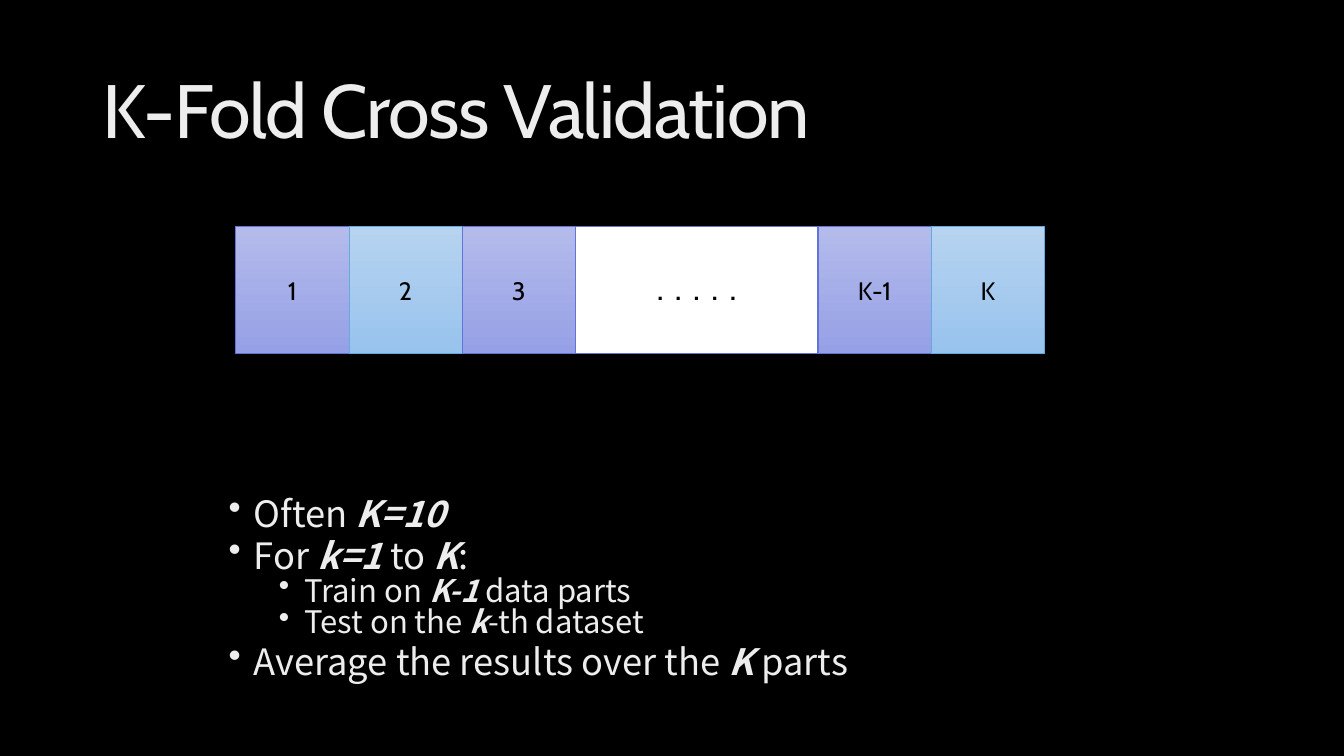
import pptx
import pptx.util
import pptx.dml.color
import pptx.enum.shapes
import pptx.enum.text
import lxml.etree

Pt = pptx.util.Pt
PALE = "EDEDED"
BLACK = "000000"
TITLE = "K-Fold Cross Validation"
VIOLET = ("B4BBEB", "96A0E6")
SKY = ("B6D3F0", "98C3ED")
WHITE = ("FFFFFF",)
EDGES = {VIOLET: "6274D8", SKY: "65A9E1", WHITE: "6274D8"}
FOLDS = [
    ("1", VIOLET),
    ("2", SKY),
    ("3", VIOLET),
    (". . . . .", WHITE),
    ("K-1", VIOLET),
    ("K", SKY),
]
STEPS = [
    (0, ["Often ", "K=10"]),
    (0, ["For ", "k=1", " to ", "K", ":"]),
    (1, ["Train on ", "K-1", " data parts"]),
    (1, ["Test on the ", "k", "-th dataset"]),
    (0, ["Average the results over the ", "K", " parts"]),
]
STEP_STYLES = {0: (25.9, 8, 18), 1: (22.2, 3.5, 54)}
HANGING = 18
FOLD_LEFT, FOLD_TOP, FOLD_HEIGHT = 168.5, 162, 90.7
FOLD_WIDTH, GAP_WIDTH = 80.8, 173.5


def color(value):
    return pptx.dml.color.RGBColor.from_string(value)


def style(run, size, font, value, spacing=0):
    run.font.size = Pt(size)
    run.font.name = font
    run.font.color.rgb = color(value)
    if spacing:
        run.font._element.set("spc", str(spacing))


def add_text_box(slide, left, top, width, height):
    frame = slide.shapes.add_textbox(Pt(left), Pt(top), Pt(width), Pt(height)).text_frame
    frame.word_wrap = True
    return frame


def add_title(slide):
    frame = add_text_box(slide, 66, 29, 828, 104.4)
    frame.vertical_anchor = pptx.enum.text.MSO_ANCHOR.MIDDLE
    frame.text = TITLE
    heading = frame.paragraphs[0]
    heading.line_spacing = 0.9
    style(heading.runs[0], 54, "Cabin", PALE, -100)


def add_folds(slide):
    left = FOLD_LEFT
    for label, shades in FOLDS:
        elided = shades == WHITE
        width = GAP_WIDTH if elided else FOLD_WIDTH
        fold = slide.shapes.add_shape(
            pptx.enum.shapes.MSO_SHAPE.RECTANGLE,
            Pt(left), Pt(FOLD_TOP), Pt(width), Pt(FOLD_HEIGHT))
        left += width
        fold.shadow.inherit = False
        if elided:
            fold.fill.solid()
            fold.fill.fore_color.rgb = color(shades[0])
        else:
            fold.fill.gradient()
            fold.fill.gradient_angle = 270
            for stop, shade in zip(fold.fill.gradient_stops, shades):
                stop.color.rgb = color(shade)
        fold.line.color.rgb = color(EDGES[shades])
        fold.line.width = Pt(1 if elided else 0.5)
        fold.text_frame.text = label
        fold.text_frame.vertical_anchor = pptx.enum.text.MSO_ANCHOR.MIDDLE
        caption = fold.text_frame.paragraphs[0]
        caption.alignment = pptx.enum.text.PP_ALIGN.CENTER
        style(caption.runs[0], 18, "Cabin", BLACK, 240 if elided else 0)
        caption.runs[0].font.bold = elided


def add_steps(slide):
    frame = add_text_box(slide, 156.2, 355, 588.2, 154.8)
    for number, (level, parts) in enumerate(STEPS):
        step = frame.add_paragraph() if number else frame.paragraphs[0]
        size, before, margin = STEP_STYLES[level]
        step.level = level
        properties = step._p.get_or_add_pPr()
        properties.set("marL", str(Pt(margin)))
        properties.set("indent", str(-Pt(HANGING)))
        bullet = lxml.etree.SubElement(properties, pptx.oxml.ns.qn("a:buChar"))
        bullet.set("char", "•")
        step.line_spacing = 0.72
        if number:
            step.space_before = Pt(before)
        for position, part in enumerate(parts):
            run = step.add_run()
            run.text = part
            style(run, size, "Noto Sans CJK JP", PALE)
            run.font.bold = run.font.italic = position % 2 == 1


def main():
    deck = pptx.Presentation()
    deck.slide_width, deck.slide_height = Pt(960), Pt(540)
    slide = deck.slides.add_slide(deck.slide_layouts[6])
    slide.background.fill.solid()
    slide.background.fill.fore_color.rgb = color(BLACK)
    add_title(slide)
    add_folds(slide)
    add_steps(slide)
    deck.save("out.pptx")


if __name__ == "__main__":
    main()
